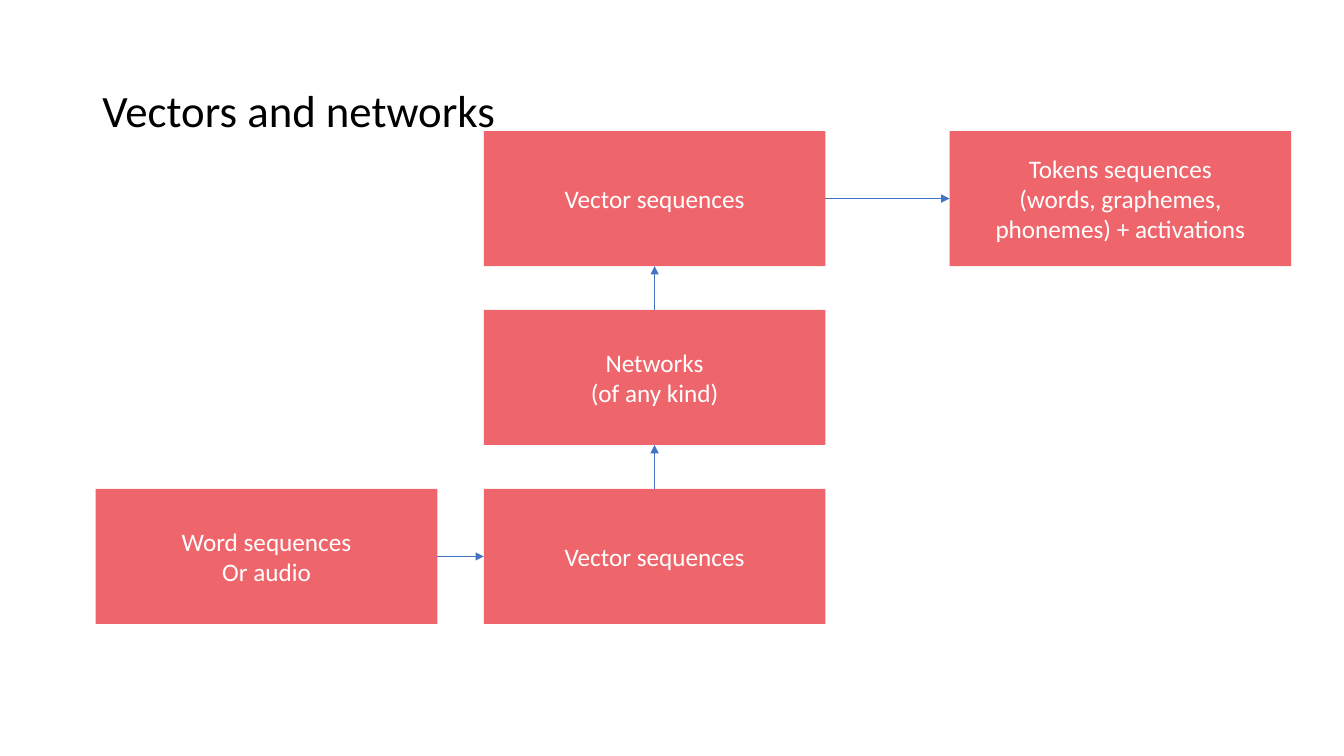
from dataclasses import dataclass

import pptx
import pptx.dml.color
import pptx.enum.shapes
import pptx.enum.text
import pptx.oxml.ns
import pptx.util
from lxml import etree
from pptx.shapes.autoshape import Shape
from pptx.slide import Slide
from pptx.text.text import TextFrame

Pt = pptx.util.Pt

COLORS = {"box": "E3000B", "arrow": "4472C4", "title": "000000", "label": "FFFFFF"}
FONT = "Calibri"
BOX_WIDTH, BOX_HEIGHT = 244, 96.5
BOX_OPACITY = 60000
COLUMNS = (68.4, 345.6, 678.3)
FIRST_ROW, ROW_STEP = 93.6, 127.8
TOP, LEFT, BOTTOM, RIGHT = range(4)


@dataclass(frozen=True)
class Stage:
    name: str
    text: str
    column: int
    row: int


@dataclass(frozen=True)
class Link:
    start: str
    start_side: int
    end: str
    end_side: int


STAGES = (
    Stage("input", "Word sequences\nOr audio", 0, 2),
    Stage("input vectors", "Vector sequences", 1, 2),
    Stage("networks", "Networks\n(of any kind)", 1, 1),
    Stage("output vectors", "Vector sequences", 1, 0),
    Stage("output", "Tokens sequences\n(words, graphemes, phonemes) + activations", 2, 0),
)
LINKS = (
    Link("input", RIGHT, "input vectors", LEFT),
    Link("input vectors", TOP, "networks", BOTTOM),
    Link("networks", TOP, "output vectors", BOTTOM),
    Link("output vectors", RIGHT, "output", LEFT),
)


def rgb(name: str) -> pptx.dml.color.RGBColor:
    return pptx.dml.color.RGBColor.from_string(COLORS[name])


def write_text(
    frame: TextFrame, text: str, size: float, color: str,
    align: pptx.enum.text.PP_ALIGN, spacing: float = 1.0,
) -> None:
    frame.text = text
    frame.word_wrap = True
    frame.vertical_anchor = pptx.enum.text.MSO_ANCHOR.MIDDLE
    for para in frame.paragraphs:
        para.alignment = align
        para.line_spacing = spacing
        for span in para.runs:
            span.font.name = FONT
            span.font.size = Pt(size)
            span.font.color.rgb = rgb(color)


def add_title(page: Slide, text: str) -> None:
    title = page.shapes.add_textbox(Pt(66), Pt(28.75), Pt(828), Pt(104.4))
    write_text(title.text_frame, text, 32, "title", pptx.enum.text.PP_ALIGN.LEFT, 0.9)


def add_stage(page: Slide, stage: Stage) -> Shape:
    box = page.shapes.add_shape(
        pptx.enum.shapes.MSO_SHAPE.RECTANGLE,
        Pt(COLUMNS[stage.column]), Pt(FIRST_ROW + stage.row * ROW_STEP),
        Pt(BOX_WIDTH), Pt(BOX_HEIGHT),
    )
    box.shadow.inherit = False
    box.line.fill.background()
    box.fill.solid()
    box.fill.fore_color.rgb = rgb("box")
    fill_color = box.fill._xPr.find(".//" + pptx.oxml.ns.qn("a:srgbClr"))
    etree.SubElement(fill_color, pptx.oxml.ns.qn("a:alpha"), val=str(BOX_OPACITY))
    write_text(box.text_frame, stage.text, 18, "label", pptx.enum.text.PP_ALIGN.CENTER)
    return box


def add_link(page: Slide, link: Link, boxes: dict[str, Shape]) -> None:
    arrow = page.shapes.add_connector(
        pptx.enum.shapes.MSO_CONNECTOR.STRAIGHT, Pt(0), Pt(0), Pt(0), Pt(0)
    )
    arrow.begin_connect(boxes[link.start], link.start_side)
    arrow.end_connect(boxes[link.end], link.end_side)
    arrow.line.color.rgb = rgb("arrow")
    arrow.line.width = Pt(0.5)
    outline = arrow.line._get_or_add_ln()
    etree.SubElement(outline, pptx.oxml.ns.qn("a:tailEnd"), type="triangle")
    etree.SubElement(arrow._element.spPr, pptx.oxml.ns.qn("a:effectLst"))


def main() -> None:
    deck = pptx.Presentation()
    deck.slide_width, deck.slide_height = Pt(960), Pt(540)
    page = deck.slides.add_slide(deck.slide_layouts[6])
    add_title(page, "Vectors and networks")
    boxes = {stage.name: add_stage(page, stage) for stage in STAGES}
    for link in LINKS:
        add_link(page, link, boxes)
    deck.save("out.pptx")


if __name__ == "__main__":
    main()
